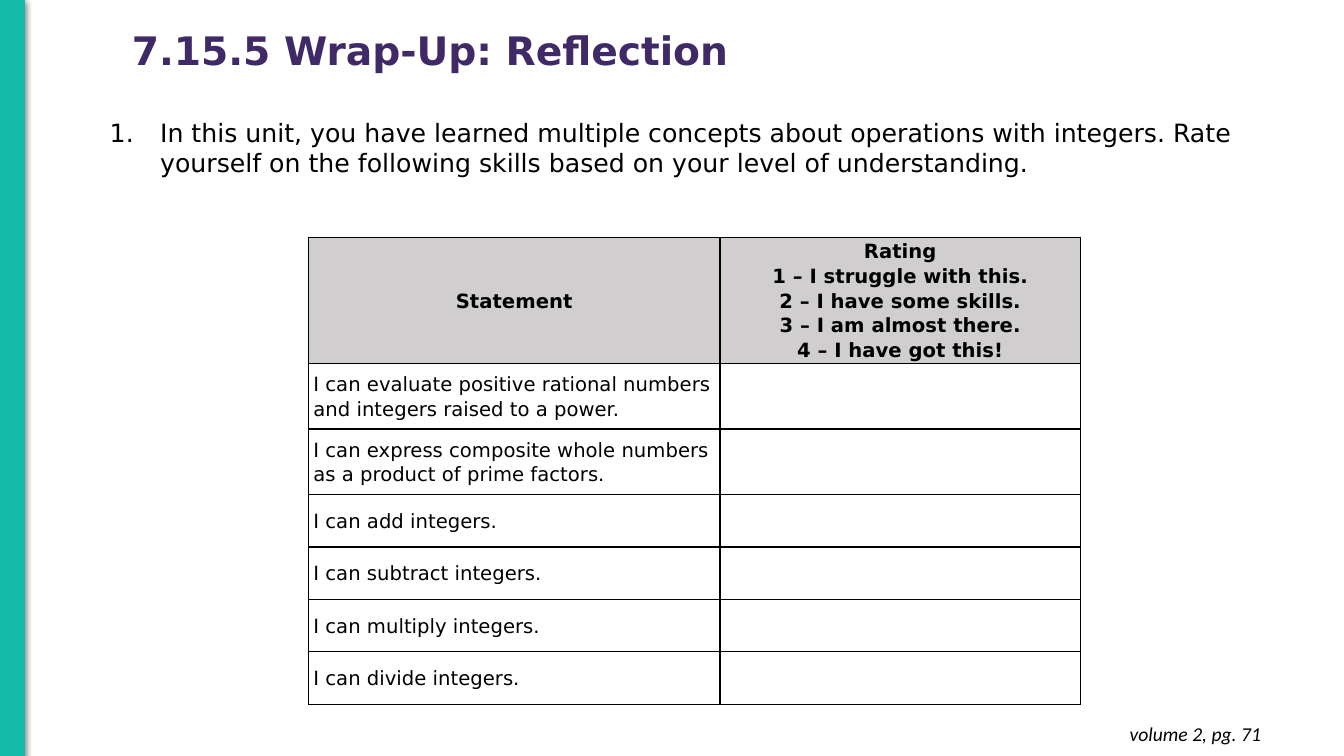
from lxml import etree
from pptx import Presentation
from pptx.dml.color import RGBColor
from pptx.enum.shapes import MSO_SHAPE
from pptx.enum.text import MSO_ANCHOR, MSO_AUTO_SIZE, PP_ALIGN
from pptx.oxml import parse_xml
from pptx.oxml.ns import qn
from pptx.util import Pt

RECTANGLE = MSO_SHAPE.RECTANGLE
MIDDLE = MSO_ANCHOR.MIDDLE
NO_AUTOFIT = MSO_AUTO_SIZE.NONE
LEFT, CENTER, RIGHT = PP_ALIGN.LEFT, PP_ALIGN.CENTER, PP_ALIGN.RIGHT
DRAWING_NS = 'xmlns:a="http://schemas.openxmlformats.org/drawingml/2006/main"'

# Content
TITLE = "7.15.5 Wrap-Up: Reflection"
PROMPT = ("In this unit, you have learned multiple concepts about operations with integers. "
          "Rate yourself on the following skills based on your level of understanding.")
PAGE_REFERENCE = "volume 2, pg. 71"
STATEMENT_HEADING = ["Statement"]
RATING_HEADING = [
    "Rating",
    "1 – I struggle with this.",
    "2 – I have some skills.",
    "3 – I am almost there.",
    "4 – I have got this!",
]
# Each skill with its row height
SKILLS = [
    ("I can evaluate positive rational numbers and integers raised to a power.", 46.8),
    ("I can express composite whole numbers as a product of prime factors.", 46.8),
    ("I can add integers.", 37.5),
    ("I can subtract integers.", 37.5),
    ("I can multiply integers.", 37.5),
    ("I can divide integers.", 37.5),
]

# Style
TEAL, PURPLE, BLACK, GREY = "14BAAA", "3F2A67", "000000", "D0CECE"
MAIN_FONT, REFERENCE_FONT = "DejaVu Sans", "Calibri"
HEADING_HEIGHT = 90
COLUMN_WIDTHS = (294, 257.5)


def colour(value):
    return RGBColor.from_string(value)


def add_run(paragraph, words, size, font=MAIN_FONT, ink=BLACK, bold=False, italic=False):
    run = paragraph.add_run()
    run.text = words
    run.font.name, run.font.size = font, Pt(size)
    run.font.bold, run.font.italic = bold, italic
    run.font.color.rgb = colour(ink)


def add_text_frame(slide, left, top, width, height):
    frame = slide.shapes.add_textbox(Pt(left), Pt(top), Pt(width), Pt(height)).text_frame
    frame.word_wrap = True
    return frame


def style_cell(cell, fill=None):
    cell.vertical_anchor = MIDDLE
    cell.margin_left = cell.margin_right = Pt(3.6)
    cell.margin_top = cell.margin_bottom = Pt(0)
    properties = cell._tc.get_or_add_tcPr()
    for side in ("lnL", "lnR", "lnT", "lnB"):
        properties.append(parse_xml(
            f'<a:{side} {DRAWING_NS} w="{Pt(1)}"><a:solidFill>'
            f'<a:srgbClr val="{BLACK}"/></a:solidFill></a:{side}>'))
    if fill:
        cell.fill.solid()
        cell.fill.fore_color.rgb = colour(fill)
    else:
        cell.fill.background()


def write_cell(cell, lines, align, bold=False):
    frame = cell.text_frame
    for index, line in enumerate(lines):
        paragraph = frame.add_paragraph() if index else frame.paragraphs[0]
        paragraph.alignment, paragraph.line_spacing = align, 1.07
        add_run(paragraph, line, 14, bold=bold)


def add_side_bar(slide):
    bar = slide.shapes.add_shape(RECTANGLE, Pt(0), Pt(0), Pt(17.5), Pt(540.5))
    bar.fill.solid()
    bar.fill.fore_color.rgb = colour(TEAL)
    bar.line.color.rgb = colour(TEAL)
    bar.line.width = Pt(0.75)
    bar.shadow.inherit = False
    bar._element.spPr.find(qn("a:effectLst")).append(parse_xml(
        f'<a:outerShdw {DRAWING_NS} blurRad="{Pt(4.5)}" dist="{Pt(1.5)}" dir="5400000" '
        f'rotWithShape="0"><a:srgbClr val="{BLACK}"><a:alpha val="50000"/></a:srgbClr>'
        '</a:outerShdw>'))


def add_title(slide):
    title = slide.shapes.title
    title.left, title.top, title.width, title.height = Pt(87), Pt(-14.4), Pt(631.5), Pt(104.4)
    frame = title.text_frame
    frame.auto_size, frame.vertical_anchor, frame.word_wrap = NO_AUTOFIT, MIDDLE, True
    heading = frame.paragraphs[0]
    heading.alignment, heading.line_spacing = LEFT, 0.9
    add_run(heading, TITLE, 28, ink=PURPLE, bold=True)


def add_prompt(slide):
    paragraph = add_text_frame(slide, 71.3, 80, 841, 51).paragraphs[0]
    properties = paragraph._p.get_or_add_pPr()
    properties.set("marL", str(Pt(36)))
    properties.set("indent", str(-Pt(36)))
    bullet_colour = etree.SubElement(properties, qn("a:buClr"))
    etree.SubElement(bullet_colour, qn("a:srgbClr"), val=BLACK)
    etree.SubElement(properties, qn("a:buFont"), typeface=MAIN_FONT)
    etree.SubElement(properties, qn("a:buAutoNum"), type="arabicPeriod")
    add_run(paragraph, PROMPT, 18)


def add_rating_table(slide):
    heights = [HEADING_HEIGHT] + [height for _, height in SKILLS]
    table = slide.shapes.add_table(
        len(heights), len(COLUMN_WIDTHS), Pt(220.3), Pt(169.6),
        Pt(sum(COLUMN_WIDTHS)), Pt(sum(heights))).table
    table.first_row = table.horz_banding = False
    for column, width in zip(table.columns, COLUMN_WIDTHS):
        column.width = Pt(width)
    for index, (row, height) in enumerate(zip(table.rows, heights)):
        row.height = Pt(height)
        for cell in row.cells:
            style_cell(cell, None if index else GREY)
    for column, heading in enumerate((STATEMENT_HEADING, RATING_HEADING)):
        write_cell(table.cell(0, column), heading, CENTER, bold=True)
    for index, (skill, _) in enumerate(SKILLS, start=1):
        write_cell(table.cell(index, 0), [skill], LEFT)


def add_page_reference(slide):
    frame = add_text_frame(slide, 700.5, 508.5, 207.5, 31.5)
    frame.margin_left = frame.margin_right = frame.margin_top = frame.margin_bottom = Pt(7.2)
    paragraph = frame.paragraphs[0]
    paragraph.alignment = RIGHT
    add_run(paragraph, PAGE_REFERENCE, 14, font=REFERENCE_FONT, italic=True)


def main():
    deck = Presentation()
    deck.slide_width, deck.slide_height = Pt(960), Pt(540)
    slide = deck.slides.add_slide(deck.slide_layouts.get_by_name("Title Only"))
    add_side_bar(slide)
    add_title(slide)
    add_prompt(slide)
    add_page_reference(slide)
    add_rating_table(slide)
    deck.save("out.pptx")


if __name__ == "__main__":
    main()
